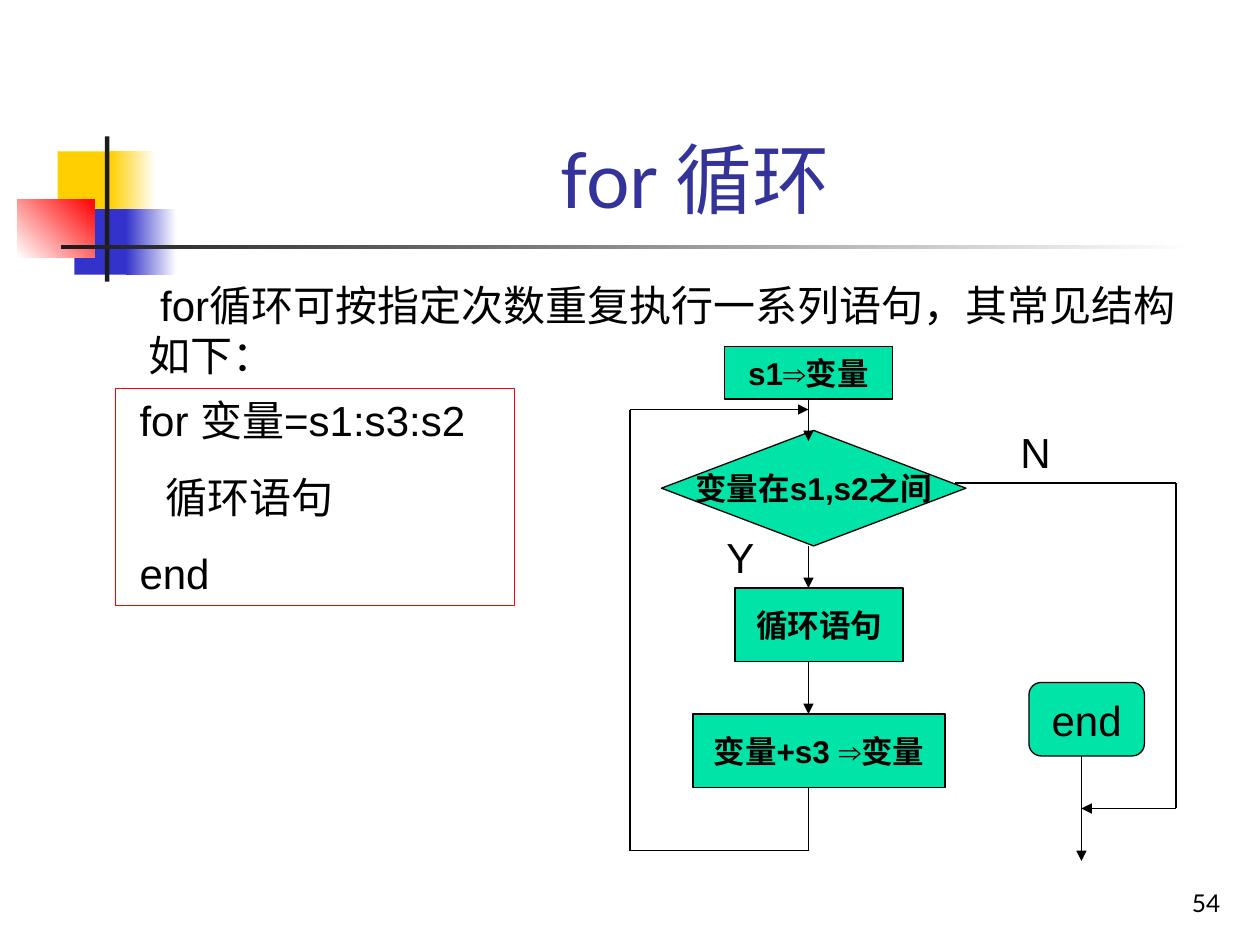
from itertools import pairwise

from lxml import etree
from pptx import Presentation
from pptx.dml.color import RGBColor
from pptx.enum import shapes, text
from pptx.oxml import ns
from pptx.util import Pt

BLACK = RGBColor(0x00, 0x00, 0x00)
WHITE = RGBColor(0xFF, 0xFF, 0xFF)
CHARCOAL = RGBColor(0x1C, 0x1C, 0x1C)
YELLOW = RGBColor(0xFF, 0xCF, 0x01)
BLUE = RGBColor(0x33, 0x33, 0xCC)
RED = RGBColor(0xFF, 0x00, 0x00)
INDIGO = RGBColor(0x33, 0x33, 0x99)
GREEN = RGBColor(0x00, 0xE4, 0xA8)

SHAPE = shapes.MSO_SHAPE
ALIGN = text.PP_ALIGN
ANCHOR = text.MSO_ANCHOR

FLOW_X = 462
EXIT_X = 618
RETURN_X = 360
BYPASS_X = 672


def write(shape, *lines, size=24, font="Arial", color=BLACK, bold=False,
          align=ALIGN.LEFT, anchor=ANCHOR.TOP, wrap=True, gap=0, indent=0):
    """Fill a shape with one paragraph per line; gap is the space between them."""
    frame = shape.text_frame
    frame.auto_size = text.MSO_AUTO_SIZE.NONE
    frame.word_wrap = wrap
    frame.vertical_anchor = anchor
    for index, line in enumerate(lines):
        para = frame.add_paragraph() if index else frame.paragraphs[0]
        para.alignment = align
        para.space_before = Pt(gap if index else 0)
        if indent:
            para._p.get_or_add_pPr().set("indent", str(Pt(indent)))
        span = para.add_run()
        span.text = line
        span.font.size = Pt(size)
        span.font.name = font
        span.font.bold = bold
        span.font.color.rgb = color


def add_box(page, kind, left, top, width, height, fill=None, line=None):
    box = page.shapes.add_shape(kind, Pt(left), Pt(top), Pt(width), Pt(height))
    box.shadow.inherit = False
    if fill is None:
        box.fill.background()
    else:
        box.fill.solid()
        box.fill.fore_color.rgb = fill
    if line is None:
        box.line.fill.background()
    else:
        box.line.color.rgb = line
        box.line.width = Pt(0.75)
    return box


def add_fade(page, left, top, width, height, start, end, angle=0):
    """Add a rectangle with a linear gradient; angle runs counter-clockwise."""
    box = add_box(page, SHAPE.RECTANGLE, left, top, width, height, WHITE)
    box.fill.gradient()
    box.fill.gradient_angle = angle
    for stop, color, position in zip(box.fill.gradient_stops, (start, end), (0, 1)):
        stop.color.rgb = color
        stop.position = position


def add_label(page, left, top, width, height, words, **style):
    box = page.shapes.add_textbox(Pt(left), Pt(top), Pt(width), Pt(height))
    write(box, words, **style)


def add_step(page, kind, left, top, width, height, words, size=18, bold=True):
    box = add_box(page, kind, left, top, width, height, GREEN, BLACK)
    write(box, words, size=size, bold=bold, align=ALIGN.CENTER,
          anchor=ANCHOR.MIDDLE, wrap=False)
    return box


def add_route(page, *points, arrow=True):
    """Join points with straight connectors, the last one ending in an arrowhead."""
    lines = []
    for (x1, y1), (x2, y2) in pairwise(points):
        line = page.shapes.add_connector(
            shapes.MSO_CONNECTOR.STRAIGHT, Pt(x1), Pt(y1), Pt(x2), Pt(y2))
        line.line.color.rgb = BLACK
        line.line.width = Pt(0.75)
        etree.SubElement(line._element.spPr, ns.qn("a:effectLst"))
        lines.append(line)
    if arrow:
        outline = lines[-1].line._get_or_add_ln()
        etree.SubElement(outline, ns.qn("a:tailEnd"), type="triangle")
    return lines


def add_decoration(page):
    add_box(page, SHAPE.RECTANGLE, 33, 86.5, 34.5, 37.5, YELLOW)
    add_fade(page, 63, 86.5, 26, 37.5, YELLOW, WHITE)
    add_box(page, SHAPE.RECTANGLE, 42.5, 119.5, 33, 37.5, BLUE)
    add_fade(page, 72, 119.5, 29, 37.5, BLUE, WHITE)
    add_fade(page, 10, 113.75, 44, 33.25, WHITE, RED, angle=45)
    add_box(page, SHAPE.RECTANGLE, 60, 78, 2.5, 83, CHARCOAL)
    add_fade(page, 34.75, 140, 648, 2.5, CHARCOAL, WHITE)


def add_title(page, words):
    title = page.shapes.title
    title.left, title.top, title.width, title.height = (
        Pt(90.5), Pt(16.5), Pt(613.5), Pt(115))
    write(title, words, size=44, font="Lato", color=INDIGO,
          align=ALIGN.CENTER, anchor=ANCHOR.BOTTOM)


def add_flowchart(page):
    start = add_step(page, SHAPE.FLOWCHART_PROCESS, 414, 198, 96, 30, "s1⇒变量")
    add_step(page, SHAPE.FLOWCHART_DECISION, 378, 246, 174, 66, "变量在s1,s2之间")
    add_step(page, SHAPE.FLOWCHART_PROCESS, 420, 336, 96, 42, "循环语句")
    add_step(page, SHAPE.FLOWCHART_PROCESS, 396, 408, 144, 42, "变量+s3 ⇒变量")
    add_step(page, SHAPE.FLOWCHART_ALTERNATE_PROCESS, 588, 390, 66, 42, "end",
             size=24, bold=False)

    entry, = add_route(page, (FLOW_X, 228), (FLOW_X, 252))
    entry.begin_connect(start, 2)
    add_route(page, (FLOW_X, 312), (FLOW_X, 336))
    add_route(page, (FLOW_X, 378), (FLOW_X, 408))
    add_route(page, (546, 276), (BYPASS_X, 276), (BYPASS_X, 462), (EXIT_X, 462))
    add_route(page, (EXIT_X, 432), (EXIT_X, 492))
    add_route(page, (FLOW_X, 450), (FLOW_X, 486), (RETURN_X, 486),
              (RETURN_X, 234), (FLOW_X, 234))

    add_label(page, 408, 300, 36, 36, "Y")
    add_label(page, 576, 240, 48, 36, "N")


def main():
    deck = Presentation()
    deck.slide_width, deck.slide_height = Pt(720), Pt(540)
    page = deck.slides.add_slide(deck.slide_layouts.get_by_name("Title Only"))

    add_decoration(page)
    add_title(page, "for 循环")
    add_label(page, 78, 156, 606, 65,
              "for循环可按指定次数重复执行一系列语句，其常见结构如下：", indent=6.5)
    code = add_box(page, SHAPE.RECTANGLE, 66, 222, 228, 124, line=RED)
    write(code, " for 变量=s1:s3:s2", "    循环语句", " end", gap=15)
    add_flowchart(page)
    add_label(page, 554.5, 492, 150, 36, "54", size=14, font="Lato",
              align=ALIGN.RIGHT, anchor=ANCHOR.BOTTOM)

    deck.save("out.pptx")


if __name__ == "__main__":
    main()
